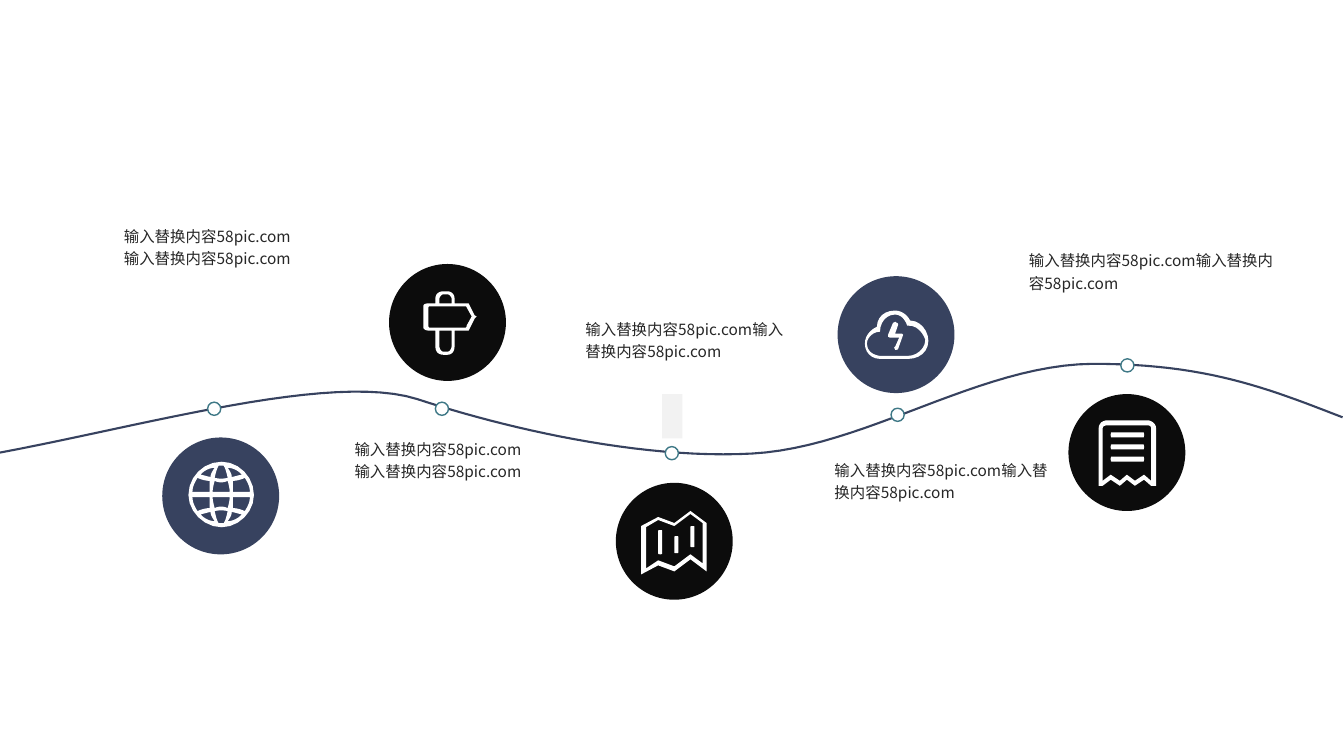
"""Build a winding timeline slide with five milestones, icons and captions."""
from lxml import etree
from pptx import Presentation
from pptx.dml.color import RGBColor
from pptx.enum.shapes import MSO_SHAPE
from pptx.enum.text import MSO_AUTO_SIZE
from pptx.oxml.ns import qn
from pptx.util import Pt

RECTANGLE, OVAL = MSO_SHAPE.RECTANGLE, MSO_SHAPE.OVAL
FIT_SHAPE = MSO_AUTO_SIZE.SHAPE_TO_FIT_TEXT

WHITE = RGBColor(0xFF, 0xFF, 0xFF)
NAVY = RGBColor(0x37, 0x42, 0x5F)
BLACK = RGBColor(0x0C, 0x0C, 0x0C)
TEAL = RGBColor(0x3E, 0x78, 0x86)
PALE_GREY = RGBColor(0xF2, 0xF2, 0xF2)
TEXT_GREY = RGBColor(0x26, 0x26, 0x26)

FONT = "Noto Sans CJK SC"
CAPTION = "输入替换内容58pic.com" * 2
ICON_UNIT = 0.72
BADGE_SIZE = 83.5
MARKER_SIZE = 9.4
CAPTION_HEIGHT = 37.4

WAVE = [(0, 323.3), (104.4, 303.8, 236.9, 265.7, 298.1, 285.1),
        (359.3, 305.3, 456.5, 328.3, 537.1, 324),
        (617.8, 319.7, 699.1, 260.6, 780.5, 259.9),
        (861.8, 259.9, 905, 277.2, 959, 298.1)]
MARKERS = [(148.3, 287.3), (311, 287.3), (475.2, 319), (636.5, 291.6), (800.6, 256.3)]
CAPTIONS = [(81.4, 156.2, 143.3), (246.2, 308.2, 143.3), (411.1, 222.5, 161.3),
            (589, 323.3, 175.7), (727.9, 173.5, 190.1)]


def flatten(steps, count):
    """Turn points and cubic curves (six numbers) into plain points."""
    points = []
    for step in steps:
        if len(step) == 2:
            points.append(step)
            continue
        x0, y0 = points[-1]
        x1, y1, x2, y2, x3, y3 = step
        for index in range(1, count + 1):
            t = index / count
            a, b, c, d = (1 - t) ** 3, 3 * t * (1 - t) ** 2, 3 * t * t * (1 - t), t ** 3
            points.append((a * x0 + b * x1 + c * x2 + d * x3,
                           a * y0 + b * y1 + c * y2 + d * y3))
    return points


def mirror(steps, width=None, height=None):
    """Reflect a contour inside the given width or height."""
    return [tuple(height - value if index % 2 and height
                  else width - value if not index % 2 and width else value
                  for index, value in enumerate(step)) for step in steps]


def bar(left, top, right, bottom, cut=2):
    """Return the contour of a bar with rounded corners."""
    return [(left + cut, top), (right - cut, top), (right, top, right, top, right, top + cut),
            (right, bottom - cut), (right, bottom, right, bottom, right - cut, bottom),
            (left + cut, bottom), (left, bottom, left, bottom, left, bottom - cut),
            (left, top + cut), (left, top, left, top, left + cut, top)]


def globe():
    """Return the globe contours, mirrored from one quarter."""
    size = 65
    rim = [(33, 0), (15, 0, 0, 15, 0, 33), (0, 49, 15, 65, 33, 65),
           (50, 65, 65, 50, 65, 33), (65, 15, 50, 0, 33, 0)]
    side = [(9, 16), (13, 18, 18, 19, 21, 19), (21, 22, 21, 27, 21, 30), (4, 30),
            (4, 25, 6, 21, 9, 16)]
    cap = [(26, 6), (24, 9, 22, 12, 22, 15), (19, 15, 15, 13, 12, 13), (15, 9, 21, 6, 26, 6)]
    middle = [(24, 30), (24, 27, 25, 23, 26, 19), (30, 21, 35, 21, 39, 19),
              (40, 23, 41, 27, 41, 30)]
    crown = [(30, 4), (35, 4), (37, 7, 38, 12, 39, 16), (35, 17, 30, 17, 26, 16),
             (27, 12, 28, 7, 30, 4)]
    upper = [side, cap, mirror(side, width=size), mirror(cap, width=size), middle, crown]
    return [rim] + upper + [mirror(hole, height=size) for hole in upper]


CLOUD = [
    [(45, 10), (42, 4, 36, 0, 30, 0), (19, 0, 12, 7, 12, 16), (4, 20, 0, 26, 0, 33),
     (0, 41, 6, 48, 15, 48), (43, 48), (54, 48, 63, 41, 63, 30), (63, 20, 55, 10, 45, 10)],
    [(43, 45), (15, 45), (15, 45, 2, 44, 2, 33), (2, 27, 8, 21, 15, 21),
     (15, 12, 21, 4, 30, 4), (36, 4, 40, 9, 42, 15), (52, 14, 58, 23, 60, 29),
     (60, 38, 51, 45, 43, 45)],
    [(37, 23), (30, 23), (33, 14), (33, 14, 33, 12, 31, 12), (30, 10, 30, 12, 28, 12),
     (23, 24), (23, 26), (25, 27), (34, 27), (30, 36), (28, 36, 30, 38, 30, 39),
     (31, 39, 33, 39, 33, 38), (38, 24)],
]
RECEIPT = [
    [(48, 0), (9, 0), (4, 0, 0, 3, 0, 8), (0, 65), (4, 65), (12, 59), (21, 65), (28, 59),
     (36, 65), (45, 59), (52, 65), (57, 65), (57, 8), (57, 3, 52, 0, 48, 0)],
    [(52, 60), (45, 54), (36, 60), (28, 54), (21, 60), (12, 54), (4, 60), (4, 8),
     (4, 6, 6, 5, 9, 5), (48, 5), (51, 5, 52, 6, 52, 8)],
] + [bar(12, top, 45, top + 5) for top in (12, 24, 36)]
MAP = [
    [(49, 0), (33, 12), (17, 6), (0, 15), (0, 63), (17, 54), (33, 60), (49, 48), (65, 60),
     (65, 12)],
    [(61, 52), (49, 43), (33, 55), (17, 49), (5, 57), (5, 16), (17, 9), (33, 15), (49, 3),
     (61, 12)],
    bar(17, 19, 21, 43), bar(33, 25, 37, 42), bar(49, 15, 53, 36),
]
SIGNPOST = [
    [(51, 24), (45, 12), (31, 12), (31, 7), (31, 3, 28, 0, 24, 0), (20, 0),
     (15, 0, 12, 3, 12, 7), (12, 12), (5, 12), (2, 12, 0, 13, 0, 15), (0, 36),
     (0, 37, 2, 39, 5, 39), (12, 39), (12, 55), (12, 60, 15, 63, 20, 63), (24, 63),
     (28, 63, 31, 60, 31, 55), (31, 39), (45, 39), (51, 27), (53, 25)],
    [(16, 7), (16, 6, 18, 3, 20, 3), (24, 3), (26, 3, 28, 6, 28, 7), (28, 12), (16, 12)],
    [(28, 55), (28, 57, 26, 60, 24, 60), (20, 60), (18, 60, 16, 57, 16, 55), (16, 39),
     (28, 39)],
    [(43, 34), (43, 36, 42, 36, 42, 36), (6, 36), (5, 36, 5, 34, 5, 33), (5, 18),
     (5, 16, 5, 15, 6, 15), (42, 15), (42, 15, 43, 15, 43, 16), (48, 25)],
]
BADGES = [
    ((115.9, 312.5), NAVY, (134.6, 329.8), globe()),
    ((598.3, 197.3), NAVY, (617.8, 221.8), CLOUD),
    ((763.2, 281.5), BLACK, (784.8, 300.2), RECEIPT),
    ((439.9, 344.9), BLACK, (457.9, 365), MAP),
    ((277.9, 188.6), BLACK, (302.4, 208.1), SIGNPOST),
]


class TimelineSlide:
    """Holds the slide and draws each kind of element on it."""

    def __init__(self, slide):
        self.shapes = slide.shapes
        self.font_format = {"name": FONT, "size": Pt(11)}
        self.frame_format = {"word_wrap": True, "auto_size": FIT_SHAPE}

    def paint(self, shape, fill=None, line=None, width=1):
        shape.shadow.inherit = False
        for part, color in ((shape.fill, fill), (shape.line.fill, line)):
            if color is None:
                part.background()
            else:
                part.solid()
                part.fore_color.rgb = color
        if line is not None:
            shape.line.width = Pt(width)

    def preset(self, kind, left, top, width, height, shapes=None, **style):
        target = shapes or self.shapes
        shape = target.add_shape(kind, Pt(left), Pt(top), Pt(width), Pt(height))
        self.paint(shape, **style)

    def outline(self, contours, left=0, top=0, unit=1, shapes=None, close=True, count=6, **style):
        builder = None
        for contour in contours:
            points = [(Pt(left + x * unit), Pt(top + y * unit)) for x, y in flatten(contour, count)]
            if builder is None:
                builder = (shapes or self.shapes).build_freeform(*points[0])
            else:
                builder.move_to(*points[0])
            builder.add_line_segments(points[1:], close=close)
        self.paint(builder.convert_to_shape(), **style)

    def badge(self, corner, color, icon_corner, contours):
        shapes = self.shapes.add_group_shape().shapes
        self.preset(OVAL, *corner, BADGE_SIZE, BADGE_SIZE, shapes=shapes, fill=color)
        self.outline(contours, *icon_corner, unit=ICON_UNIT, shapes=shapes, fill=WHITE)

    def caption(self, left, top, width):
        box = self.shapes.add_textbox(Pt(left), Pt(top), Pt(width), Pt(CAPTION_HEIGHT))
        for name, value in self.frame_format.items():
            setattr(box.text_frame, name, value)
        paragraph = box.text_frame.paragraphs[0]
        paragraph.line_spacing = 1.2
        run = paragraph.add_run()
        run.text = CAPTION
        for name, value in self.font_format.items():
            setattr(run.font, name, value)
        run.font.color.rgb = TEXT_GREY
        etree.SubElement(run.font._element, qn("a:ea"), typeface=FONT)


def main():
    presentation = Presentation()
    presentation.slide_width, presentation.slide_height = Pt(960), Pt(540)
    timeline = TimelineSlide(presentation.slides.add_slide(presentation.slide_layouts[6]))
    timeline.preset(RECTANGLE, 473, 281.5, 14.4, 31.7, fill=PALE_GREY)
    timeline.outline([WAVE], close=False, count=24, line=NAVY, width=1.5)
    for left, top in MARKERS:
        timeline.preset(OVAL, left, top, MARKER_SIZE, MARKER_SIZE, fill=WHITE, line=TEAL)
    for badge in BADGES:
        timeline.badge(*badge)
    for caption in CAPTIONS:
        timeline.caption(*caption)
    presentation.save("out.pptx")


if __name__ == "__main__":
    main()
